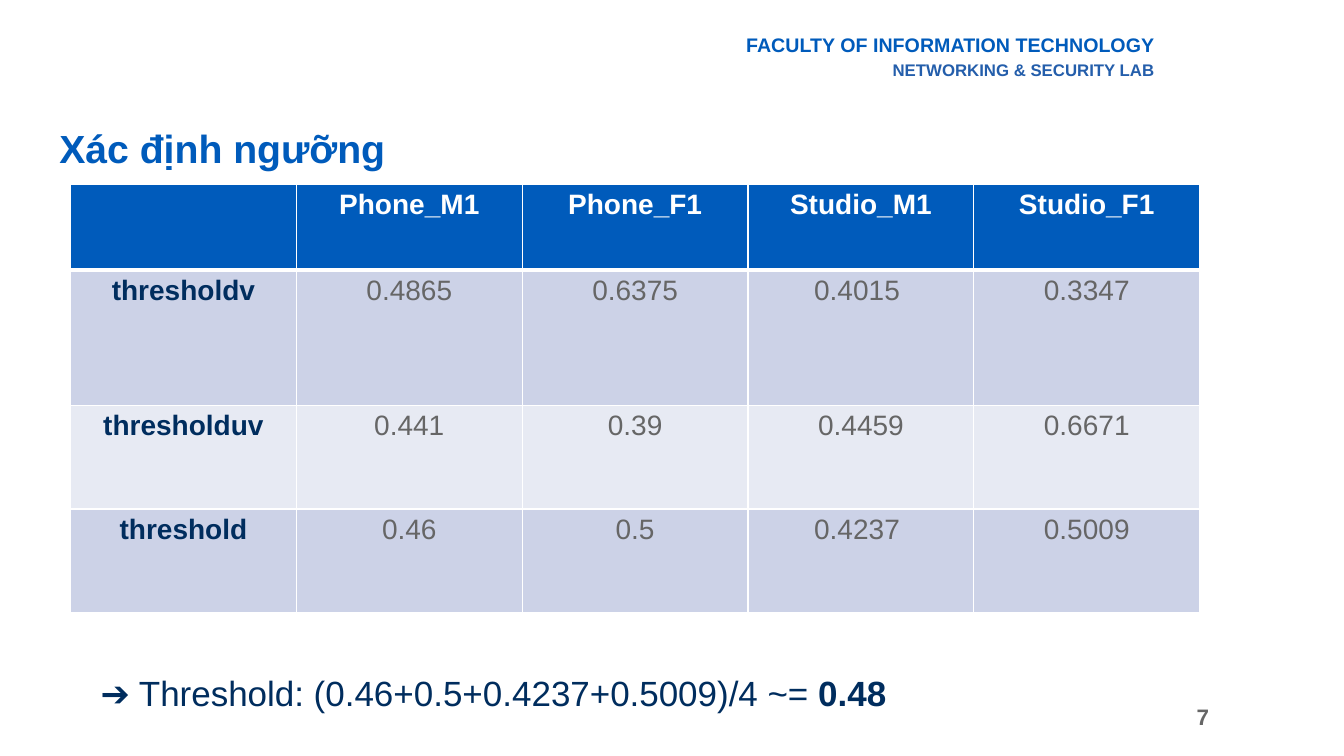
from lxml import etree
from pptx import Presentation
from pptx.dml.color import RGBColor
from pptx.enum import text
from pptx.oxml.ns import qn
from pptx.util import Inches, Pt

# Content
HEADER = ["FACULTY OF INFORMATION TECHNOLOGY", "NETWORKING & SECURITY LAB"]
TITLE = "Xác định ngưỡng"
ROWS = [
    ["", "Phone_M1", "Phone_F1", "Studio_M1", "Studio_F1"],
    ["thresholdv", "0.4865", "0.6375", "0.4015 ", "0.3347"],
    ["thresholduv", "0.441", "0.39", "0.4459", "0.6671"],
    ["threshold", "0.46", "0.5", "0.4237 ", "0.5009"],
]
ROW_HEIGHTS = [0.85, 1.34, 1.03, 1.03]
COL_WIDTH = 2.24
FORMULA = "➔ Threshold: (0.46+0.5+0.4237+0.5009)/4 ~= "
RESULT = "0.48"
PAGE = "7"

THEME = {
    "font": "Arial",
    "blue": "005BBB", "lab": "245EAB", "navy": "002D5E", "grey": "666666",
    "white": "FFFFFF", "band_dark": "CCD2E7", "band_light": "E7EAF3",
    "faculty_size": 14, "lab_size": 12, "title_size": 28,
    "table_size": 20, "formula_size": 25, "page_size": 16,
}
ALIGN = text.PP_ALIGN


def style(p, size, color, bold=False, align=ALIGN.LEFT):
    p.alignment = align
    f = p.font
    f.name, f.size, f.bold = THEME["font"], Pt(THEME[size]), bold
    f.color.rgb = RGBColor.from_string(THEME[color])


def add_text(slide, left, top, width, height):
    sp = slide.shapes.add_textbox(*map(Inches, (left, top, width, height)))
    tf = sp.text_frame
    tf.word_wrap = True
    return tf


def set_borders(cell, bottom):
    tc_pr = cell._tc.get_or_add_tcPr()
    for side, width in (("L", 1), ("R", 1), ("T", 1), ("B", bottom)):
        ln = etree.SubElement(tc_pr, qn(f"a:ln{side}"), w=str(Pt(width)))
        fill = etree.SubElement(ln, qn("a:solidFill"))
        etree.SubElement(fill, qn("a:srgbClr"), val=THEME["white"])


def add_threshold_table(slide):
    n_cols = len(ROWS[0])
    table = slide.shapes.add_table(
        len(ROWS), n_cols, Inches(0.7), Inches(1.83),
        Inches(COL_WIDTH * n_cols), Inches(sum(ROW_HEIGHTS))).table
    for col in table.columns:
        col.width = Inches(COL_WIDTH)
    for i, values in enumerate(ROWS):
        table.rows[i].height = Inches(ROW_HEIGHTS[i])
        band = "blue" if i == 0 else "band_dark" if i % 2 else "band_light"
        for j, value in enumerate(values):
            cell = table.cell(i, j)
            cell.text = value
            color = "white" if i == 0 else "navy" if j == 0 else "grey"
            style(cell.text_frame.paragraphs[0], "table_size", color,
                  i == 0 or j == 0, ALIGN.CENTER)
            set_borders(cell, 3 if i == 0 else 1)
            cell.fill.solid()
            cell.fill.fore_color.rgb = RGBColor.from_string(THEME[band])


def main():
    prs = Presentation()
    prs.slide_width, prs.slide_height = Inches(13.33), Inches(7.5)
    slide = prs.slides.add_slide(prs.slide_layouts[6])

    # Page number
    tf = add_text(slide, 7.59, 6.91, 4.5, 0.4)
    tf.vertical_anchor = text.MSO_ANCHOR.MIDDLE
    tf.text = PAGE
    style(tf.paragraphs[0], "page_size", "grey", True, ALIGN.RIGHT)

    # Faculty and lab
    tf = add_text(slide, 7.03, 0.28, 4.52, 0.57)
    tf.text = "\n".join(HEADER)
    faculty, lab = tf.paragraphs
    style(faculty, "faculty_size", "blue", True, ALIGN.RIGHT)
    style(lab, "lab_size", "lab", True, ALIGN.RIGHT)
    lab.space_before = Pt(2)

    # Title
    tf = add_text(slide, 0.49, 1.18, 7.6, 0.65)
    tf.text = TITLE
    style(tf.paragraphs[0], "title_size", "blue", True)

    # Threshold table
    add_threshold_table(slide)

    # Average threshold
    p = add_text(slide, 0.9, 6.61, 9.09, 0.52).paragraphs[0]
    style(p, "formula_size", "navy")
    p.add_run().text = FORMULA
    r = p.add_run()
    r.text = RESULT
    r.font.bold = True

    prs.save("out.pptx")


if __name__ == "__main__":
    main()
